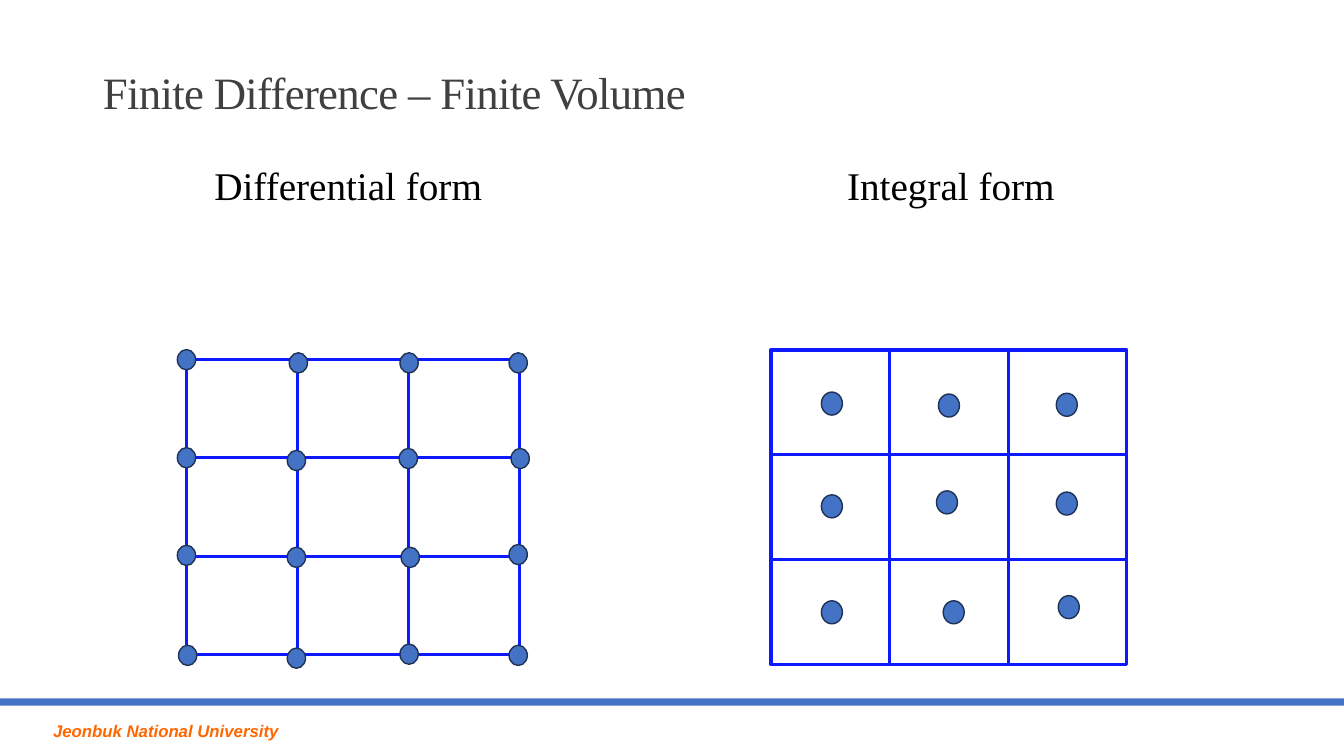
from dataclasses import dataclass

from pptx import Presentation
from pptx.dml.color import RGBColor
from pptx.enum.shapes import MSO_SHAPE
from pptx.enum.text import MSO_ANCHOR, MSO_AUTO_SIZE, PP_ALIGN
from pptx.util import Cm, Pt

RECTANGLE = MSO_SHAPE.RECTANGLE
OVAL = MSO_SHAPE.OVAL
LEFT = PP_ALIGN.LEFT
CENTER = PP_ALIGN.CENTER
BOTTOM = MSO_ANCHOR.BOTTOM
NO_AUTOFIT = MSO_AUTO_SIZE.NONE
TITLE_ONLY = 5


@dataclass(frozen=True)
class Theme:
    serif: str = "Times New Roman"
    sans: str = "Arial"
    title_color: RGBColor = RGBColor(0x40, 0x40, 0x40)
    label_color: RGBColor = RGBColor(0, 0, 0)
    footer_color: RGBColor = RGBColor(0xFF, 0x66, 0x00)
    accent: RGBColor = RGBColor(0x44, 0x72, 0xC4)
    dot_line: RGBColor = RGBColor(0x1E, 0x32, 0x56)
    grid_line: RGBColor = RGBColor(0x0D, 0x19, 0xFF)
    title_size: Pt = Pt(32)
    label_size: Pt = Pt(28)
    footer_size: Pt = Pt(12)
    grid_width: Pt = Pt(2.25)
    dot_width: Pt = Pt(1)


THEME = Theme()

NODE_DOTS = [
    (4.47, 8.81), (7.29, 8.89), (10.08, 8.89), (12.83, 8.89),
    (4.47, 11.28), (7.24, 11.35), (10.06, 11.3), (12.88, 11.3),
    (4.47, 13.74), (7.24, 13.79), (10.11, 13.79), (12.83, 13.72),
    (4.5, 16.26), (7.24, 16.33), (10.08, 16.23), (12.83, 16.26),
]
CELL_DOTS = [
    (20.7, 9.88), (23.65, 9.93), (26.62, 9.91),
    (20.7, 12.47), (23.6, 12.37), (26.62, 12.4),
    (20.7, 15.14), (23.77, 15.14), (26.67, 15.01),
]


def style_font(para, name, size, color):
    para.font.name = name
    para.font.size = size
    para.font.color.rgb = color


def add_title(page, text):
    title = page.shapes.title
    title.left, title.top = Cm(2.34), Cm(1.02)
    title.width, title.height = Cm(29.21), Cm(2.11)
    frame = title.text_frame
    frame.text = text
    frame.auto_size = NO_AUTOFIT
    frame.vertical_anchor = BOTTOM
    para = frame.paragraphs[0]
    para.alignment = LEFT
    para.line_spacing = 0.85
    style_font(para, THEME.serif, THEME.title_size, THEME.title_color)
    para.runs[0].font._element.set("spc", "-50")


def add_text(page, text, left, top, height, align):
    box = page.shapes.add_textbox(Cm(left), Cm(top), Cm(8.15), Cm(height))
    box.text_frame.word_wrap = True
    para = box.text_frame.paragraphs[0]
    para.text = text
    para.alignment = align
    return para


def add_form_label(page, text, left):
    para = add_text(page, text, left, 3.94, 1.45, CENTER)
    style_font(para, THEME.serif, THEME.label_size, THEME.label_color)


def add_footer(page, text):
    bar = page.shapes.add_shape(RECTANGLE, 0, Cm(17.6), Cm(33.87), Cm(0.18))
    bar.shadow.inherit = False
    bar.fill.solid()
    bar.fill.fore_color.rgb = THEME.accent
    bar.line.fill.background()
    para = add_text(page, text, 0.97, 18.03, 0.76, LEFT)
    style_font(para, THEME.sans, THEME.footer_size, THEME.footer_color)
    para.font.bold = True
    para.font.italic = True


def add_grid(page, left, top, width, height, count=3):
    for row in range(count):
        for column in range(count):
            cell = page.shapes.add_shape(
                RECTANGLE, Cm(left + column * width), Cm(top + row * height),
                Cm(width), Cm(height))
            cell.shadow.inherit = False
            cell.fill.background()
            cell.line.color.rgb = THEME.grid_line
            cell.line.width = THEME.grid_width


def add_dots(page, places, width, height):
    for left, top in places:
        dot = page.shapes.add_shape(OVAL, Cm(left), Cm(top), Cm(width), Cm(height))
        dot.shadow.inherit = False
        dot.fill.solid()
        dot.fill.fore_color.rgb = THEME.accent
        dot.line.color.rgb = THEME.dot_line
        dot.line.width = THEME.dot_width


def main():
    deck = Presentation()
    deck.slide_width, deck.slide_height = Cm(33.87), Cm(19.05)
    page = deck.slides.add_slide(deck.slide_layouts[TITLE_ONLY])
    add_footer(page, " Jeonbuk National University")
    add_title(page, "Finite Difference – Finite Volume")
    add_form_label(page, "Differential form", 4.7)
    add_form_label(page, "Integral form", 19.89)
    add_grid(page, 4.7, 9.06, 2.8, 2.48)
    add_dots(page, NODE_DOTS, 0.46, 0.51)
    add_grid(page, 19.43, 8.82, 2.99, 2.64)
    add_dots(page, CELL_DOTS, 0.53, 0.58)
    deck.save("out.pptx")


if __name__ == "__main__":
    main()
